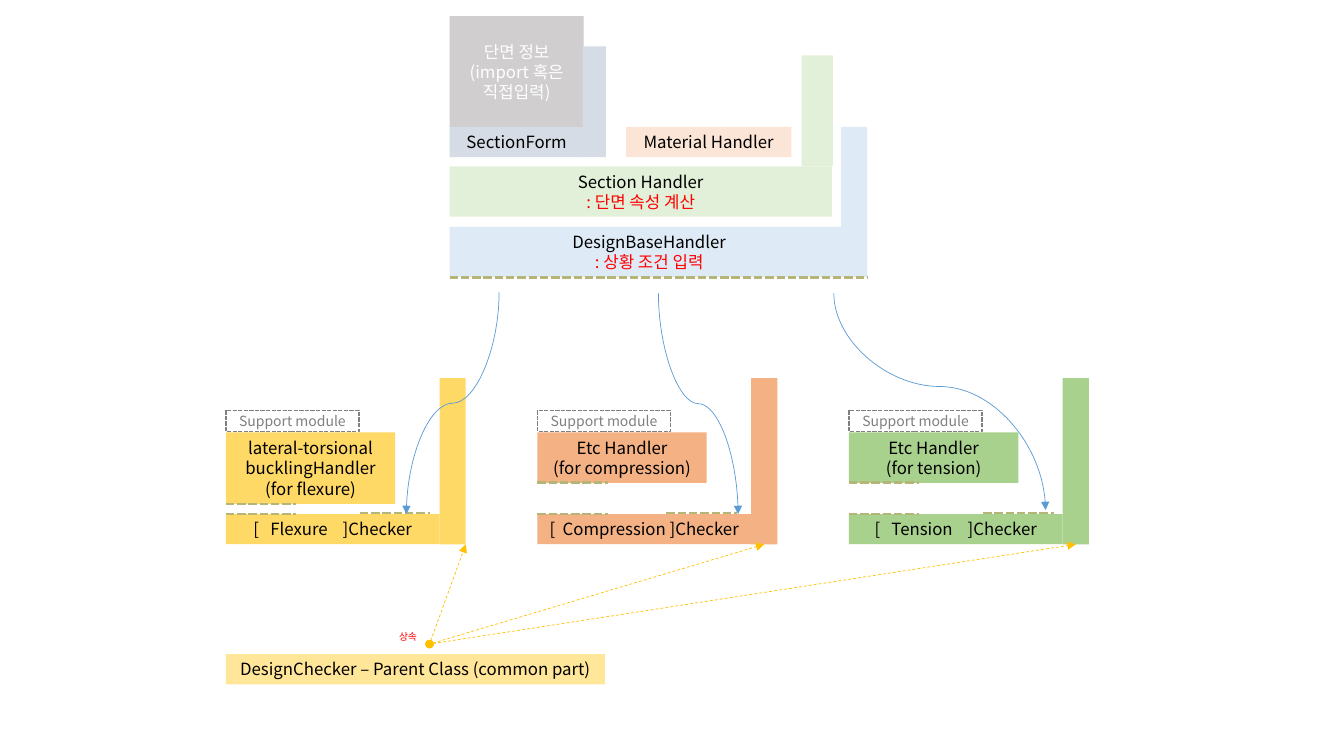
from lxml import etree
from pptx import Presentation
from pptx.dml.color import RGBColor
from pptx.enum.dml import MSO_LINE
from pptx.enum.shapes import MSO_CONNECTOR, MSO_SHAPE
from pptx.enum.text import MSO_ANCHOR, PP_ALIGN
from pptx.oxml.ns import qn
from pptx.util import Inches, Pt

RECTANGLE = MSO_SHAPE.RECTANGLE
STRAIGHT, CURVE = MSO_CONNECTOR.STRAIGHT, MSO_CONNECTOR.CURVE
DASH, SYSTEM_DASH = MSO_LINE.DASH, MSO_LINE.SQUARE_DOT
MIDDLE = MSO_ANCHOR.MIDDLE
CENTER, LEFT = PP_ALIGN.CENTER, PP_ALIGN.LEFT
FONT = "Noto Sans CJK KR"
LINE_HEIGHT = 1.2
BAR_WIDTH = 0.26
ROW_HEIGHT = 0.3
SEAM_LENGTH = 0.7
COLORS = {
    "black": "000000", "white": "FFFFFF", "red": "FF0000", "gray": "808080",
    "input": "D0CECE", "form": "D6DCE5", "material": "FBE5D6",
    "section": "E2F0D9", "design": "DEEBF7", "flexure": "FFD966",
    "compression": "F4B183", "tension": "A9D18E", "parent": "FFE699",
    "inherit": "FFC000", "seam": "B4B577", "flow": "5B9BD5",
}


def color(name):
    return RGBColor.from_string(COLORS[name])


def write_text(frame, lines, size=12, colors=("black",), align=CENTER, wrap=True):
    frame.word_wrap = wrap
    frame.vertical_anchor = MIDDLE
    frame.margin_top = frame.margin_bottom = Inches(0)
    for index, line in enumerate(lines):
        paragraph = frame.paragraphs[0] if index == 0 else frame.add_paragraph()
        paragraph.alignment = align
        paragraph.line_spacing = Pt(size * LINE_HEIGHT)
        run = paragraph.add_run()
        run.text = line
        run.font.size = Pt(size)
        run.font.name = FONT
        run.font.color.rgb = color(colors[min(index, len(colors) - 1)])
        east_asian = etree.SubElement(run.font._element, qn("a:ea"))
        east_asian.set("typeface", FONT)


def add_block(slide, left, top, width, height, fill, lines=(), border=None, **text_format):
    shape = slide.shapes.add_shape(
        RECTANGLE, Inches(left), Inches(top), Inches(width), Inches(height))
    shape.shadow.inherit = False
    shape.fill.solid()
    shape.fill.fore_color.rgb = color(fill)
    if border:
        shape.line.color.rgb = color(border)
        shape.line.width = Pt(1)
        shape.line.dash_style = SYSTEM_DASH
    else:
        shape.line.fill.background()
    if lines:
        write_text(shape.text_frame, lines, **text_format)


def add_line(slide, start, end, line_color, width, kind=STRAIGHT, dash=None, head=None, tail=None):
    connector = slide.shapes.add_connector(
        kind, *(Inches(value) for value in (*start, *end)))
    connector.line.color.rgb = color(line_color)
    connector.line.width = Pt(width)
    if dash:
        connector.line.dash_style = dash
    outline = connector.line._ln
    for tag, arrow in (("a:headEnd", head), ("a:tailEnd", tail)):
        if arrow:
            etree.SubElement(outline, qn(tag)).set("type", arrow)
    etree.SubElement(connector.element.spPr, qn("a:effectLst"))
    return connector


def add_seam(slide, left, top, length=SEAM_LENGTH):
    add_line(slide, (left, top), (left + length, top), "seam", 2, dash=SYSTEM_DASH)


def add_flow(slide, start, end, bend=None):
    center_x, center_y = (start[0] + end[0]) / 2, (start[1] + end[1]) / 2
    half_width, half_height = (end[1] - start[1]) / 2, abs(end[0] - start[0]) / 2
    side = 1 if end[0] > start[0] else -1
    connector = add_line(
        slide,
        (center_x + side * half_width, center_y - half_height),
        (center_x - side * half_width, center_y + half_height),
        "flow", 0.5, kind=CURVE, tail="triangle")
    properties = connector.element.spPr
    turn = 270 if side == 1 else 90
    properties.find(qn("a:xfrm")).set("rot", str(turn * 60000))
    if bend:
        geometry = properties.find(qn("a:prstGeom"))
        guide = etree.SubElement(geometry.find(qn("a:avLst")), qn("a:gd"))
        guide.set("name", "adj1")
        guide.set("fmla", f"val {round(bend * 100000)}")


def add_handlers(slide, left, top):
    add_block(slide, left, top, 1.33, 1.1, "input",
              ["단면 정보", "(import 혹은 직접입력)"], colors=["white"])
    add_block(slide, left, top + 1.1, 1.33, ROW_HEIGHT, "form", ["SectionForm"])
    add_block(slide, left + 1.32, top + 0.3, 0.23, 1.1, "form")
    add_block(slide, left + 1.75, top + 1.1, 1.64, ROW_HEIGHT, "material", ["Material Handler"])
    add_block(slide, left, top + 1.49, 3.79, 0.5, "section",
              ["Section Handler", ": 단면 속성 계산"], colors=["black", "red"])
    add_block(slide, left + 3.49, top + 0.39, 0.31, 1.1, "section")
    add_block(slide, left, top + 2.09, 3.96, 0.5, "design",
              ["DesignBaseHandler", ": 상황 조건 입력"], colors=["black", "red"])
    add_block(slide, left + 3.88, top + 1.1, BAR_WIDTH, 1.49, "design")
    add_seam(slide, left, top + 2.59, 4.14)


def add_checker(slide, left, top, fill, title, helper, helper_height, seam_offset):
    add_block(slide, left, top + 1.35, 2.12, ROW_HEIGHT, fill, [title])
    add_block(slide, left + 2.12, top, BAR_WIDTH, 1.65, fill)
    add_block(slide, left, top + 0.54, 1.68, helper_height, fill, helper)
    add_block(slide, left, top + 0.32, 1.32, 0.21, "white", ["Support module"],
              border="gray", size=10, colors=["gray"])
    add_seam(slide, left, top + 0.54 + helper_height)
    add_seam(slide, left, top + 1.35)
    add_seam(slide, left + seam_offset, top + 1.34)


def add_parent(slide, left, top, targets):
    add_block(slide, left, top + 0.28, 3.76, ROW_HEIGHT, "parent",
              ["DesignChecker – Parent Class (common part)"])
    label = slide.shapes.add_textbox(
        Inches(left + 1.62), Inches(top), Inches(0.4), Inches(0.22))
    write_text(label.text_frame, ["상속"], size=7, colors=["red"], align=LEFT, wrap=False)
    for target in targets:
        add_line(slide, (left + 2.02, top + 0.18), target, "inherit", 0.5,
                 dash=DASH, head="oval", tail="triangle")


def build_slide(slide):
    first_left, pitch, checker_top = 2.24, 3.09, 3.75
    add_handlers(slide, 4.46, 0.16)
    checkers = [
        ("flexure", "[   Flexure    ]Checker",
         ["lateral-torsional bucklingHandler", "(for flexure)"], 0.71, 1.33),
        ("compression", "[  Compression ]Checker",
         ["Etc Handler", "(for compression)"], 0.5, 1.28),
        ("tension", "[   Tension    ]Checker",
         ["Etc Handler", "(for tension)"], 0.5, 1.33),
    ]
    for index, checker in enumerate(checkers):
        add_checker(slide, first_left + index * pitch, checker_top, *checker)
    add_parent(slide, first_left, 6.21, [(4.62, 5.4), (7.58, 5.4), (10.67, 5.4)])
    add_flow(slide, (4.95, 2.9), (4.03, 5.1))
    add_flow(slide, (6.53, 2.91), (7.32, 5.1))
    add_flow(slide, (8.27, 2.91), (10.37, 5.06), bend=0.43)


presentation = Presentation()
presentation.slide_width = Inches(13.33)
presentation.slide_height = Inches(7.5)
build_slide(presentation.slides.add_slide(presentation.slide_layouts[6]))
presentation.save("out.pptx")
